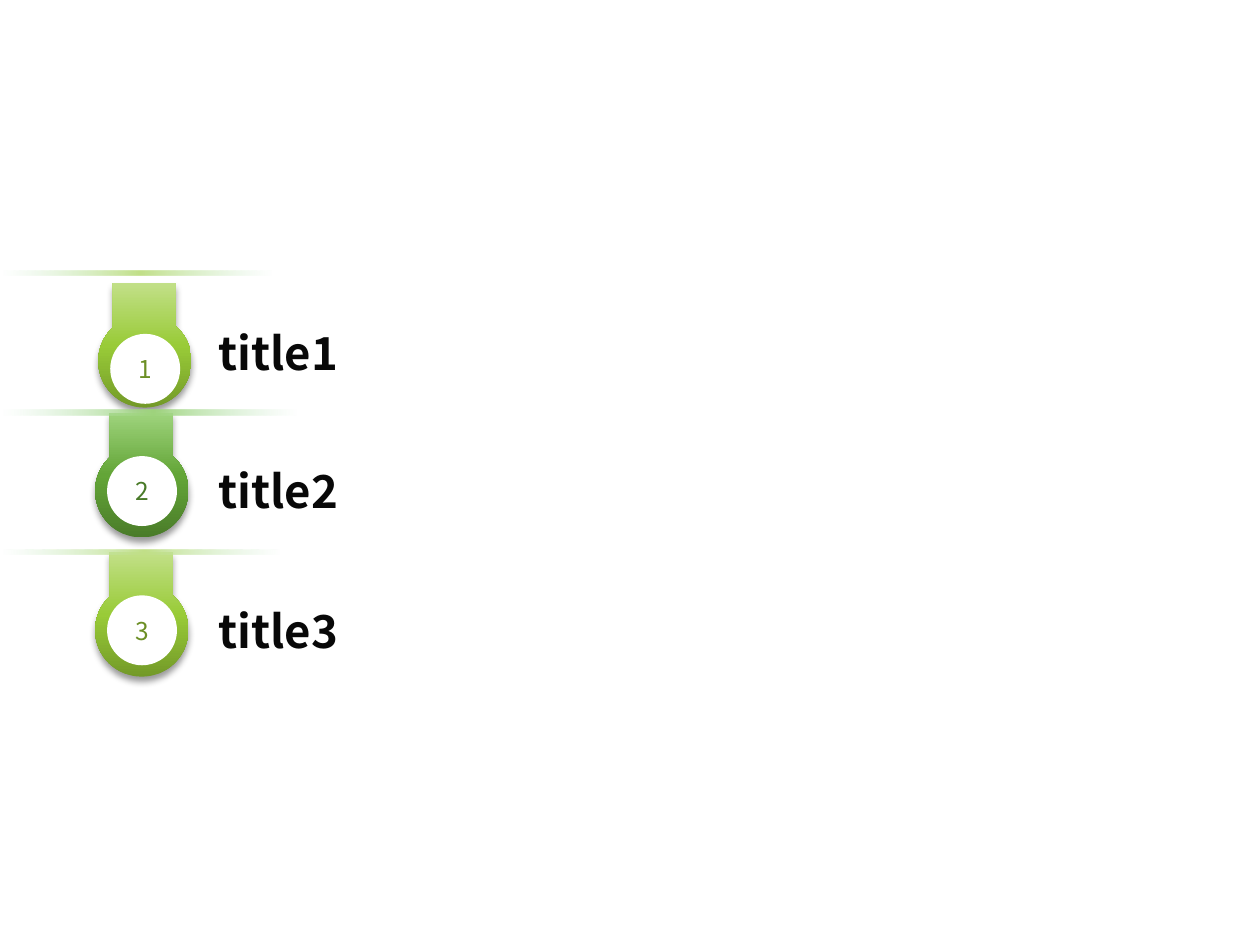
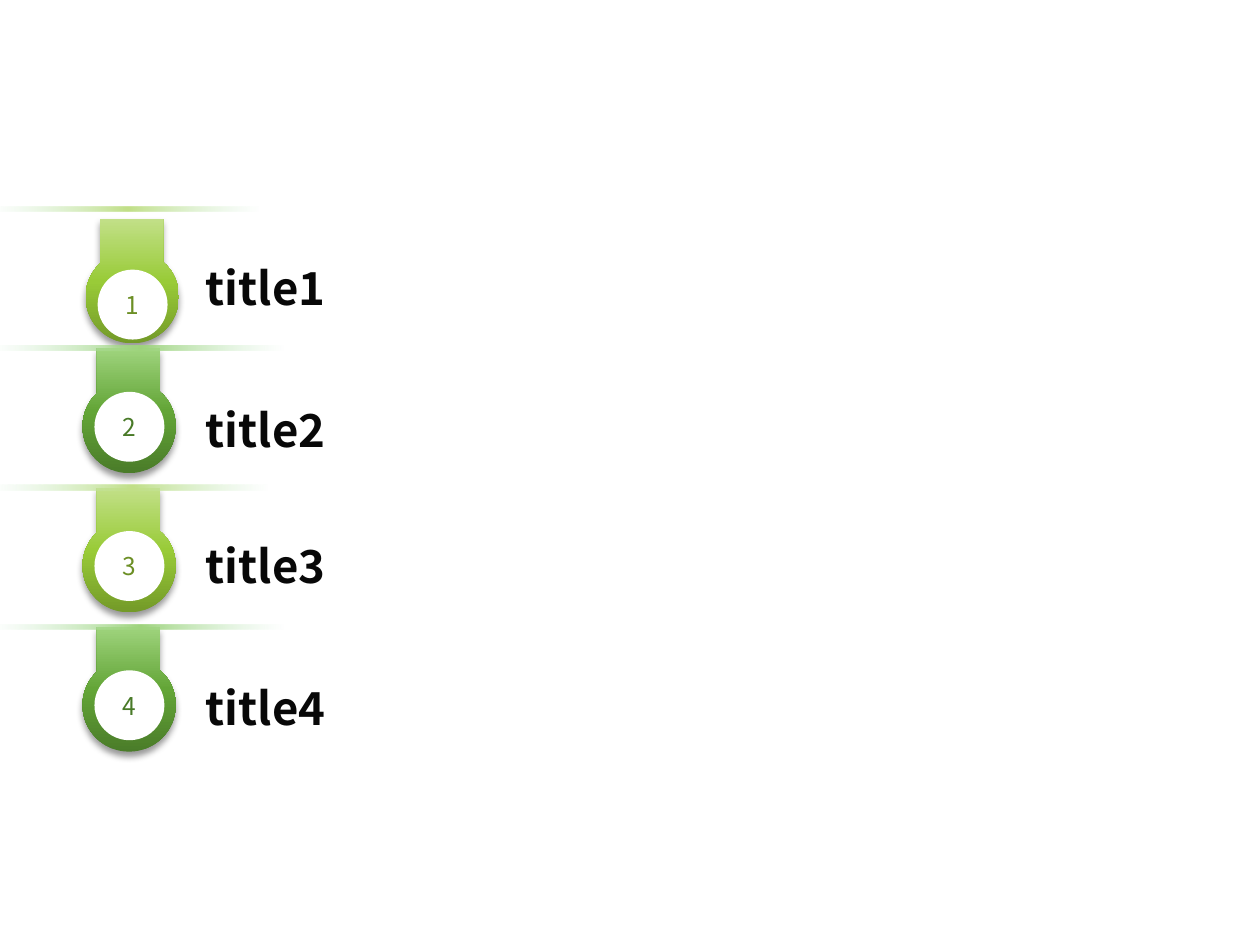
import lxml.etree
import pptx
import pptx.dml.color
import pptx.enum.shapes
import pptx.enum.text
import pptx.oxml.ns
import pptx.util

FONT = "Noto Sans CJK SC"
WHITE = pptx.dml.color.RGBColor(0xFF, 0xFF, 0xFF)
INK = pptx.dml.color.RGBColor(0x08, 0x08, 0x08)
SHADOW = pptx.dml.color.RGBColor(0x00, 0x00, 0x00)
FADE = pptx.dml.color.RGBColor(0xC7, 0xED, 0xCC)
LIME_DARK = pptx.dml.color.RGBColor(0x73, 0x9A, 0x28)
LIME = pptx.dml.color.RGBColor(0x99, 0xCB, 0x38)
LIME_LIGHT = pptx.dml.color.RGBColor(0xC2, 0xE0, 0x88)
LIME_NUMBER = pptx.dml.color.RGBColor(0x6C, 0x8F, 0x25)
GREEN_DARK = pptx.dml.color.RGBColor(0x4A, 0x7C, 0x29)
GREEN = pptx.dml.color.RGBColor(0x63, 0xA5, 0x37)
GREEN_LIGHT = pptx.dml.color.RGBColor(0x9F, 0xD4, 0x7D)
GREEN_NUMBER = pptx.dml.color.RGBColor(0x49, 0x7A, 0x28)

PALETTES = [
    (LIME_DARK, LIME, LIME_LIGHT, LIME_NUMBER),
    (GREEN_DARK, GREEN, GREEN_LIGHT, GREEN_NUMBER),
]
STRIP_WIDTHS = [21.7, 23.7, 22.4, 23.7]
AGENDAS = [
    (0.3, 21.5, [("title1", 25.3), ("title2", 36.3), ("title3", 47.4)]),
    (-0.7, 16.4, [("title1", 20.15), ("title2", 31.4),
                  ("title3", 42.25), ("title4", 53.5)]),
]
TAB_CORNERS = [(1.15, 0), (6.15, 0), (6.15, 3.45)]
TAB_CURVES = [
    (6.95, 4.1), (7.4, 5.1), (7.4, 6.2),
    (7.4, 8.25), (5.75, 9.9), (3.7, 9.9),
    (1.65, 9.9), (0, 8.25), (0, 6.2),
    (0, 5.15), (0.45, 4.2), (1.15, 3.55),
]
PITCH = 11.05
BADGE = 5.55
RIGHT_EDGE = 98.8

deck = pptx.Presentation()
deck.slide_width = pptx.util.Inches(10)
deck.slide_height = pptx.util.Inches(7.5)
column = deck.slide_width / 100
row = deck.slide_height / 75


def fill_gradient(shape, angle, stops):
    shape.fill.gradient()
    shape.fill.gradient_angle = angle
    stop_list = shape.fill._fill._gradFill.find(pptx.oxml.ns.qn("a:gsLst"))
    for old_stop in list(stop_list):
        stop_list.remove(old_stop)
    for position, colour, opacity in stops:
        stop = lxml.etree.SubElement(
            stop_list, pptx.oxml.ns.qn("a:gs"), pos=str(position * 1000))
        paint = lxml.etree.SubElement(
            stop, pptx.oxml.ns.qn("a:srgbClr"), val=str(colour))
        if opacity < 100:
            lxml.etree.SubElement(
                paint, pptx.oxml.ns.qn("a:alpha"), val=str(opacity * 1000))
    shape.line.fill.background()
    shape.shadow.inherit = False


def write(box, text, size, colour, bold, alignment):
    frame = box.text_frame
    frame.word_wrap = True
    frame.vertical_anchor = pptx.enum.text.MSO_ANCHOR.MIDDLE
    para = frame.paragraphs[0]
    para.alignment = alignment
    span = para.add_run()
    span.text = text
    span.font.name = FONT
    span.font.size = pptx.util.Pt(size)
    span.font.bold = bold
    span.font.color.rgb = colour


for left, top, titles in AGENDAS:
    page = deck.slides.add_slide(deck.slide_layouts[6])
    for index, (title, title_top) in enumerate(titles):
        dark, middle, light, number_colour = PALETTES[index % 2]
        strip_top = top + index * PITCH
        first = index == 0
        tab_left = left + (7.5 if first else 7.25)
        tab_top = strip_top + (0.95 if first else 0.2)
        badge_left = left + (8.45 if first else 8.2)
        badge_top = strip_top + (5.0 if first else 3.65)

        points = [(round((tab_left + x) * column), round((tab_top + y) * row))
                  for x, y in TAB_CORNERS + TAB_CURVES]
        builder = page.shapes.build_freeform(*points[0])
        builder.add_line_segments(points[1:], close=True)
        tab = builder.convert_to_shape()
        segments = list(tab._element.iter(pptx.oxml.ns.qn("a:lnTo")))
        curved = segments[len(TAB_CORNERS) - 1:]
        for start in range(0, len(curved), 3):
            curve = lxml.etree.Element(pptx.oxml.ns.qn("a:cubicBezTo"))
            curved[start].addprevious(curve)
            for segment in curved[start:start + 3]:
                curve.append(segment[0])
                segment.getparent().remove(segment)
        fill_gradient(tab, 90, [(0, dark, 100), (50, middle, 100), (100, light, 100)])
        effects = tab._element.spPr.find(pptx.oxml.ns.qn("a:effectLst"))
        shadow = lxml.etree.SubElement(
            effects, pptx.oxml.ns.qn("a:outerShdw"),
            blurRad=str(pptx.util.Pt(4)), dist=str(pptx.util.Pt(3)),
            dir="5400000", rotWithShape="0")
        paint = lxml.etree.SubElement(
            shadow, pptx.oxml.ns.qn("a:srgbClr"), val=str(SHADOW))
        lxml.etree.SubElement(paint, pptx.oxml.ns.qn("a:alpha"), val="40000")

        badge = page.shapes.add_shape(
            pptx.enum.shapes.MSO_SHAPE.OVAL,
            round(badge_left * column), round(badge_top * row),
            round(BADGE * column), round(BADGE * row))
        badge.shadow.inherit = False
        badge.fill.solid()
        badge.fill.fore_color.rgb = WHITE
        badge.line.fill.background()
        frame = badge.text_frame
        frame.margin_left = frame.margin_right = 0
        frame.margin_top = frame.margin_bottom = 0
        write(badge, str(index + 1), 14, number_colour, False,
              pptx.enum.text.PP_ALIGN.CENTER)

        title_left = left + 16.05
        title_box = page.shapes.add_textbox(
            round(title_left * column), round(title_top * row),
            round((RIGHT_EDGE - title_left) * column), round(5.3 * row))
        write(title_box, title, 26, INK, True, pptx.enum.text.PP_ALIGN.LEFT)

        strip = page.shapes.add_shape(
            pptx.enum.shapes.MSO_SHAPE.RECTANGLE,
            round(left * column), round(strip_top * row),
            round(STRIP_WIDTHS[index] * column), round(0.4 * row))
        fill_gradient(strip, 180, [(2, FADE, 0), (50, light, 100), (100, FADE, 0)])

deck.save("out.pptx")
